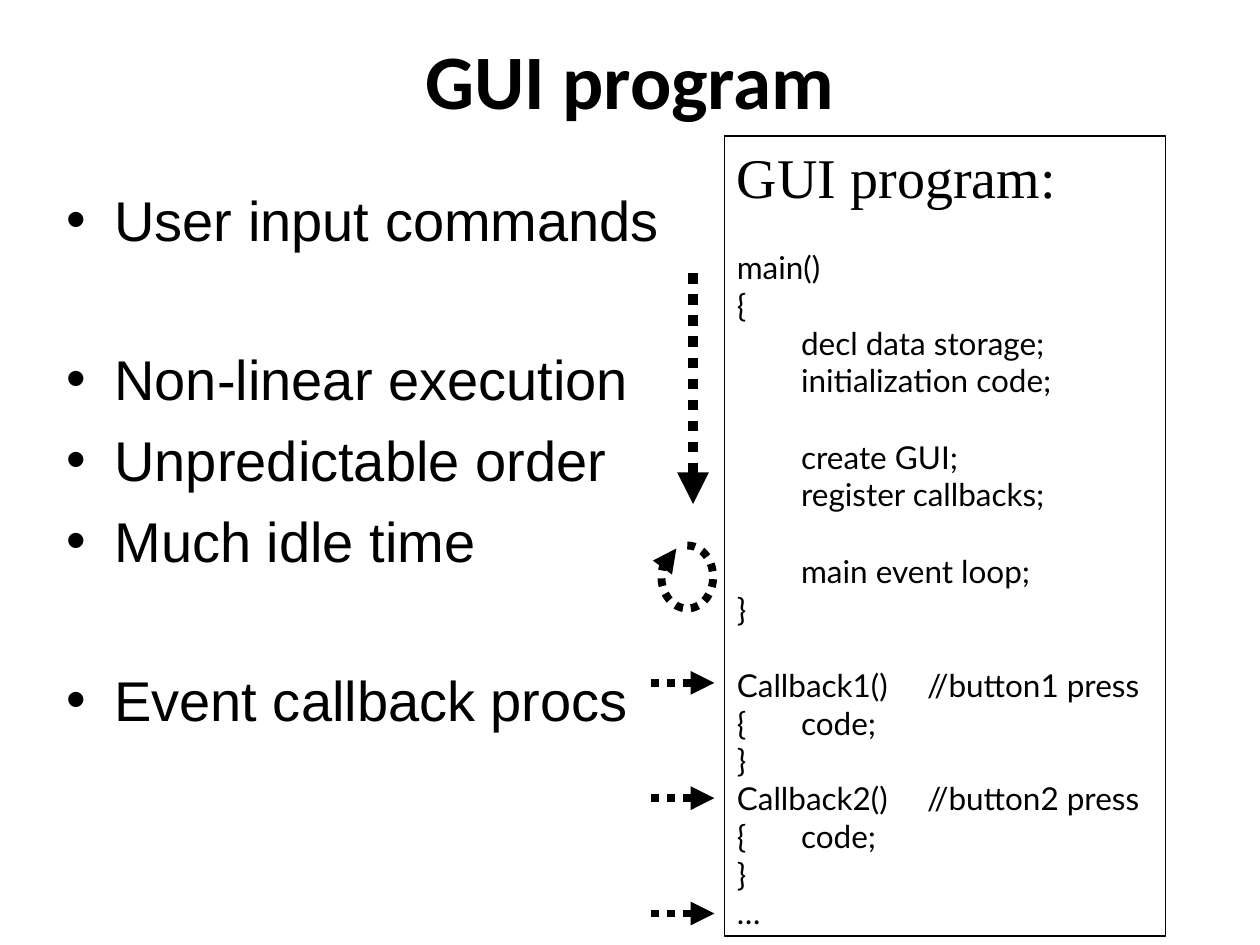
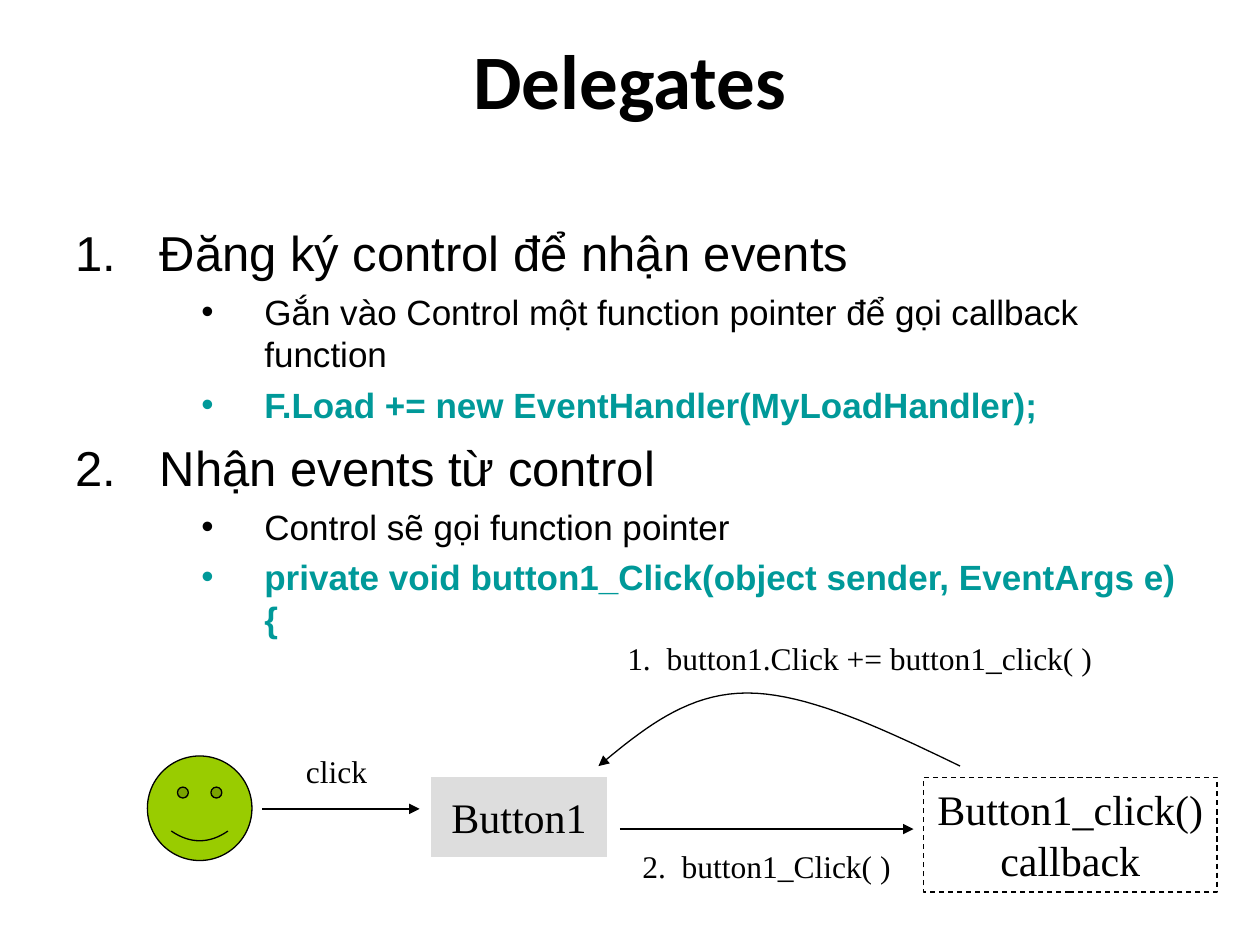
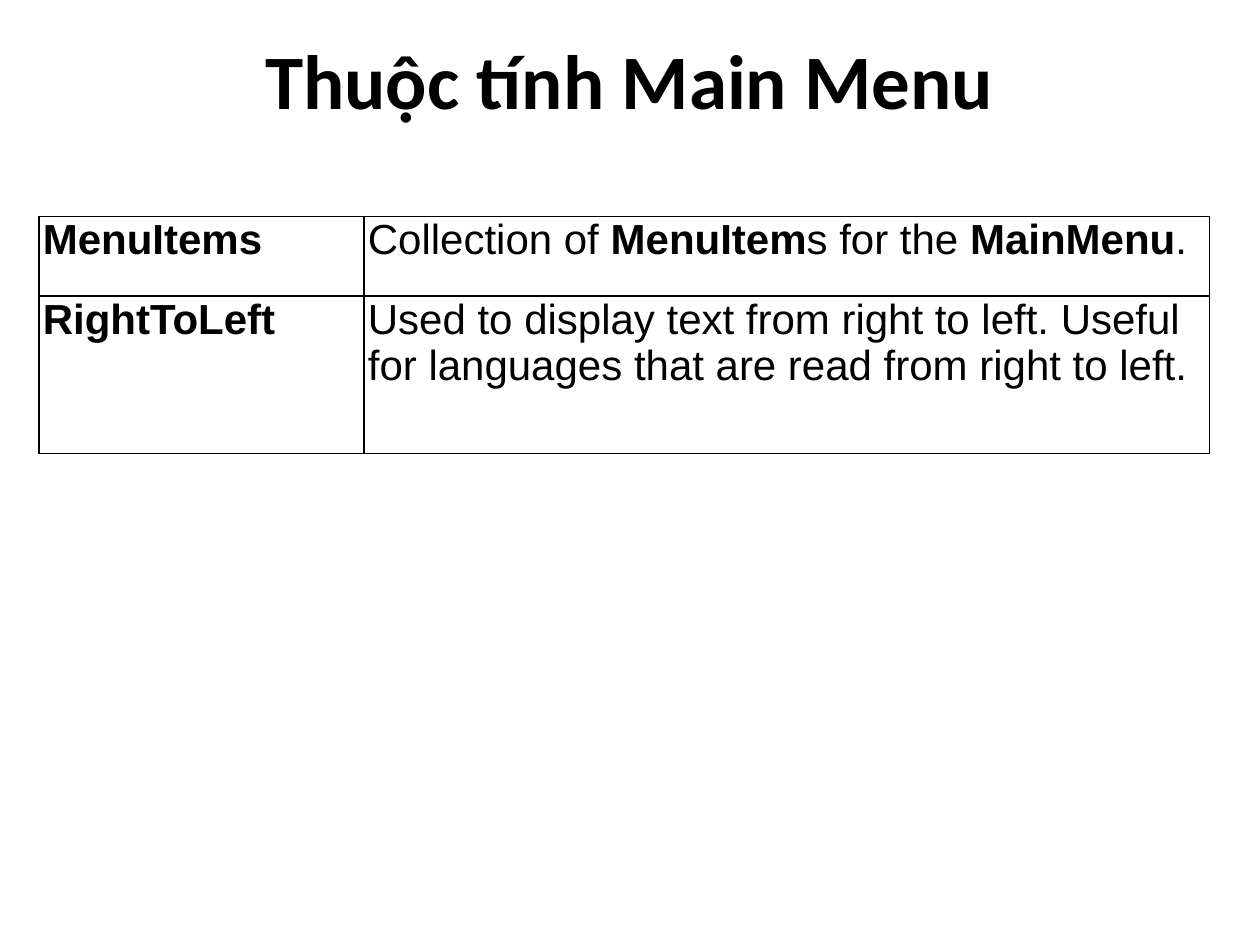
from math import cos, radians, sin

from pptx import Presentation
from pptx.dml.color import RGBColor
from pptx.enum.dml import MSO_LINE
from pptx.enum.shapes import MSO_CONNECTOR, MSO_SHAPE
from pptx.enum.text import MSO_ANCHOR, PP_ALIGN
from pptx.oxml.ns import qn
from pptx.util import Inches, Pt
from lxml.etree import SubElement

BLACK, WHITE, TEAL = "000000", "FFFFFF", "009999"
LIME, GREY = "99CC00", "DDDDDD"
SANS, SERIF, HEAD, CODE = "Arial", "Times New Roman", "Calibri", "Lato"

# (text, space before in points)
GUI_POINTS = [
    ("User input commands", 0),
    ("Non-linear execution", 52.5),
    ("Unpredictable order", 8),
    ("Much idle time", 8),
    ("Event callback procs", 52.5),
]
# blocks of the listing, set apart by one line
CODE_HEADING = "GUI program:"
CODE_BLOCKS = [
    ["main()", "{", "\tdecl data storage;", "\tinitialization code;"],
    ["\tcreate GUI;", "\tregister callbacks;"],
    ["\tmain event loop;", "}"],
    ["Callback1()\t//button1 press", "{\tcode;", "}",
     "Callback2()\t//button2 press", "{\tcode;", "}", "…"],
]
CODE_LINE = 22
CODE_TABS = [0.51, 1, 1.51]
CALLBACK_ARROWS = [5.42 + 0.915 * i for i in (0, 1, 2)]

# (level, text, is code)
DELEGATE_POINTS = [
    (0, "Đăng ký control để nhận events", False),
    (2, "Gắn vào Control một function pointer để gọi callback function", False),
    (2, "F.Load += new EventHandler(MyLoadHandler);", True),
    (0, "Nhận events từ control", False),
    (2, "Control sẽ gọi function pointer", False),
    (2, "private void button1_Click(object sender, EventArgs e){", True),
]
DELEGATE_LEVELS = {  # size, left margin, hanging indent, space before
    0: (28, 0.67, 0.67, 7),
    2: (20, 1.5, 0.5, 5),
}
FLOW_LABELS = [
    ("click", 2.33, 5.92, 0.69),
    ("2.  button1_Click( )", 5, 6.67, 2.17),
    ("1.  button1.Click += button1_click( )", 4.88, 5.02, 3.89),
]
FLOW_ARROWS = [((2.08, 6.42), (3.33, 6.42)), ((4.92, 6.58), (7.25, 6.58))]
REGISTER_CURVE = [
    [(7.62, 6.08), (7.02, 5.79), (6.41, 5.5), (5.93, 5.5)],
    [(5.93, 5.5), (5.45, 5.5), (5.1, 5.79), (4.75, 6.08)],
]

# each cell is a list of (text, bold) runs
MENU_ROWS = [
    [[("MenuItems", True)],
     [("Collection of ", False), ("MenuItem", True), ("s for the ", False),
      ("MainMenu", True), (".", False)]],
    [[("RightToLeft", True)],
     [("Used to display text from right to left. Useful for languages "
       "that are read from right to left.", False)]],
]
MENU_COLS, MENU_HEIGHTS = [2.58, 6.71], [0.63, 1.25]


def rgb(color):
    return RGBColor.from_string(color)


def style(r, font, size, color=BLACK, bold=False):
    r.font.name, r.font.size, r.font.bold = font, Pt(size), bold
    r.font.color.rgb = rgb(color)


def write(tf, lines, font, size, bold=False, align=PP_ALIGN.LEFT):
    """Fill a text frame, one paragraph a line, and return the paragraphs."""
    tf.text = "\n".join(lines)
    for p in tf.paragraphs:
        p.alignment = align
        for r in p.runs:
            style(r, font, size, bold=bold)
    return tf.paragraphs


def add_text(s, x, y, w, h, wrap=True):
    tf = s.shapes.add_textbox(Inches(x), Inches(y), Inches(w), Inches(h)).text_frame
    tf.word_wrap = wrap
    return tf


def add_box(s, kind, x, y, w, h, fill=None, line=BLACK):
    sp = s.shapes.add_shape(kind, Inches(x), Inches(y), Inches(w), Inches(h))
    sp.shadow.inherit = False
    if fill:
        sp.fill.solid()
        sp.fill.fore_color.rgb = rgb(fill)
    else:
        sp.fill.background()
    if line:
        sp.line.color.rgb = rgb(line)
        sp.line.width = Pt(0.75)
    else:
        sp.line.fill.background()
    sp.text_frame.vertical_anchor = MSO_ANCHOR.TOP
    return sp


def arrow_line(sp, width, dash):
    sp.line.color.rgb = rgb(BLACK)
    sp.line.width = Pt(width)
    if dash:
        sp.line.dash_style = dash
    SubElement(sp.line._get_or_add_ln(), qn("a:tailEnd"), type="triangle")


def add_arrow(s, start, end, width=0.75, dash=None):
    sp = s.shapes.add_connector(MSO_CONNECTOR.STRAIGHT,
                                *[Inches(v) for v in (*start, *end)])
    arrow_line(sp, width, dash)
    SubElement(sp._element.spPr, qn("a:effectLst"))


def add_curved_arrow(s, points, width=0.75, dash=None):
    points = [(Inches(x), Inches(y)) for x, y in points]
    builder = s.shapes.build_freeform(*points[0], scale=1.0)
    builder.add_line_segments(points[1:], close=False)
    sp = builder.convert_to_shape()
    sp.fill.background()
    sp.shadow.inherit = False
    arrow_line(sp, width, dash)


def bezier(ends, steps=20):
    for i in range(steps + 1):
        t = i / steps
        weights = (1 - t) ** 3, 3 * t * (1 - t) ** 2, 3 * t * t * (1 - t), t ** 3
        yield tuple(sum(w * pt[axis] for w, pt in zip(weights, ends)) for axis in (0, 1))


def set_bullet(p, left, hang, number=False):
    pPr = p._p.get_or_add_pPr()
    pPr.set("marL", str(Inches(left)))
    pPr.set("indent", str(-Inches(hang)))
    if number:
        SubElement(pPr, qn("a:buFont"), typeface="+mj-lt")
        SubElement(pPr, qn("a:buAutoNum"), type="arabicPeriod")
    else:
        SubElement(pPr, qn("a:buFont"), typeface=SANS)
        SubElement(pPr, qn("a:buChar"), char="•")


def set_tabs(p, stops):
    tabs = SubElement(p._p.get_or_add_pPr(), qn("a:tabLst"))
    for stop in stops:
        SubElement(tabs, qn("a:tab"), pos=str(Inches(stop)), algn="l")


def set_borders(cell):
    tcPr = cell._tc.get_or_add_tcPr()
    for i, side in enumerate(("lnL", "lnR", "lnT", "lnB")):
        ln = SubElement(tcPr, qn("a:" + side), w=str(Pt(1)))
        fill = SubElement(ln, qn("a:solidFill"))
        SubElement(fill, qn("a:srgbClr"), val=BLACK)
        tcPr.insert(i, ln)


def new_slide(prs, title):
    s = prs.slides.add_slide(prs.slide_layouts[6])
    s.background.fill.solid()
    s.background.fill.fore_color.rgb = rgb(WHITE)
    tf = add_text(s, 0.5, 0, 9, 1.25)
    tf.vertical_anchor = MSO_ANCHOR.MIDDLE
    write(tf, [title], HEAD, 44, True, PP_ALIGN.CENTER)
    return s


def gui_slide(prs):
    s = new_slide(prs, "GUI program")
    box = add_box(s, MSO_SHAPE.RECTANGLE, 5.75, 1.08, 3.5, 6.35, WHITE)
    lines = [CODE_HEADING] + [line for block in CODE_BLOCKS for line in block]
    paragraphs = write(box.text_frame, lines, CODE, 18)
    style(paragraphs[0].runs[0], SERIF, 32)
    first = 1
    for block in CODE_BLOCKS:
        paragraphs[first].space_before = Pt(CODE_LINE)
        first += len(block)
    for p in paragraphs[1:]:
        set_tabs(p, CODE_TABS)

    dots = MSO_LINE.ROUND_DOT
    add_arrow(s, (5.5, 2.17), (5.5, 4), 6, dots)
    for y in CALLBACK_ARROWS:
        add_arrow(s, (5.17, y), (5.67, y), 4.5, dots)
    loop = [(5.455 + 0.205 * sin(radians(a)), 4.58 - 0.25 * cos(radians(a)))
            for a in range(0, 336, 5)]
    add_curved_arrow(s, loop, 4.5, dots)

    tf = add_text(s, 0.43, 1.42, 9, 4.95)
    paragraphs = write(tf, [text for text, _ in GUI_POINTS], SANS, 32)
    for p, (_, gap) in zip(paragraphs, GUI_POINTS):
        set_bullet(p, 0.38, 0.38)
        p.space_before = Pt(gap)


def delegates_slide(prs):
    s = new_slide(prs, "Delegates")
    tf = add_text(s, 0.5, 1.72, 9, 3.42)
    paragraphs = write(tf, [text for _, text, _ in DELEGATE_POINTS], SANS, 20)
    for i, (p, (level, _, is_code)) in enumerate(zip(paragraphs, DELEGATE_POINTS)):
        size, left, hang, gap = DELEGATE_LEVELS[level]
        p.level = level
        set_bullet(p, left, hang, number=level == 0)
        p.space_before = Pt(gap if i else 0)
        style(p.runs[0], SANS, size, TEAL if is_code else BLACK, is_code)

    face = add_box(s, MSO_SHAPE.SMILEY_FACE, 1.17, 6, 0.83, 0.83, LIME)
    face.adjustments[0] = 0.047
    button = add_box(s, MSO_SHAPE.ACTION_BUTTON_CUSTOM, 3.42, 6.17, 1.4, 0.63, GREY, None)
    button.text_frame.vertical_anchor = MSO_ANCHOR.MIDDLE
    button.text_frame.word_wrap = False
    callback = add_box(s, MSO_SHAPE.RECTANGLE, 7.33, 6.17, 2.33, 0.91)
    callback.line.dash_style = MSO_LINE.DASH
    for sp, text in ((button, "Button1"), (callback, "Button1_click() callback")):
        write(sp.text_frame, [text], SERIF, 24, align=PP_ALIGN.CENTER)

    for start, end in FLOW_ARROWS:
        add_arrow(s, start, end)
    add_curved_arrow(s, [*bezier(REGISTER_CURVE[0]), *list(bezier(REGISTER_CURVE[1]))[1:]])
    for text, x, y, w in FLOW_LABELS:
        write(add_text(s, x, y, w, 0.4, wrap=False), [text], SERIF, 18)


def menu_slide(prs):
    s = new_slide(prs, "Thuộc tính Main Menu")
    table = s.shapes.add_table(len(MENU_ROWS), len(MENU_COLS), Inches(0.31), Inches(1.72),
                               Inches(sum(MENU_COLS)), Inches(sum(MENU_HEIGHTS))).table
    table.first_row = table.horz_banding = False
    for column, width in zip(table.columns, MENU_COLS):
        column.width = Inches(width)
    for row, height, contents in zip(table.rows, MENU_HEIGHTS, MENU_ROWS):
        row.height = Inches(height)
        for cell, runs in zip(row.cells, contents):
            cell.margin_left = Inches(0.03)
            cell.margin_right = cell.margin_top = cell.margin_bottom = 0
            cell.fill.background()
            set_borders(cell)
            p = cell.text_frame.paragraphs[0]
            for text, bold in runs:
                r = p.add_run()
                r.text = text
                style(r, SANS, 24, bold=bold)


def main():
    prs = Presentation()
    prs.slide_width, prs.slide_height = Inches(10), Inches(7.5)
    gui_slide(prs)
    delegates_slide(prs)
    menu_slide(prs)
    prs.save("out.pptx")


if __name__ == "__main__":
    main()
